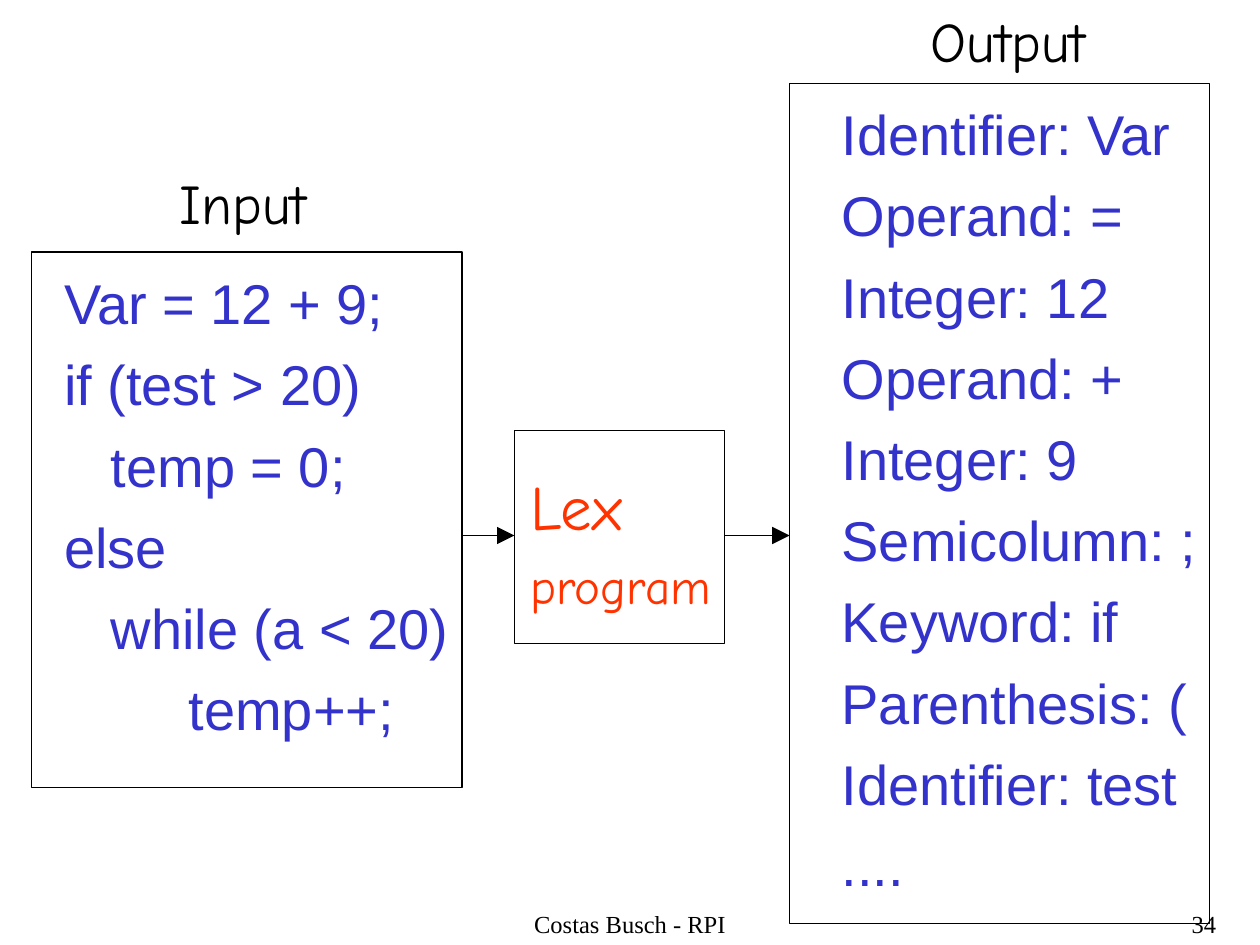
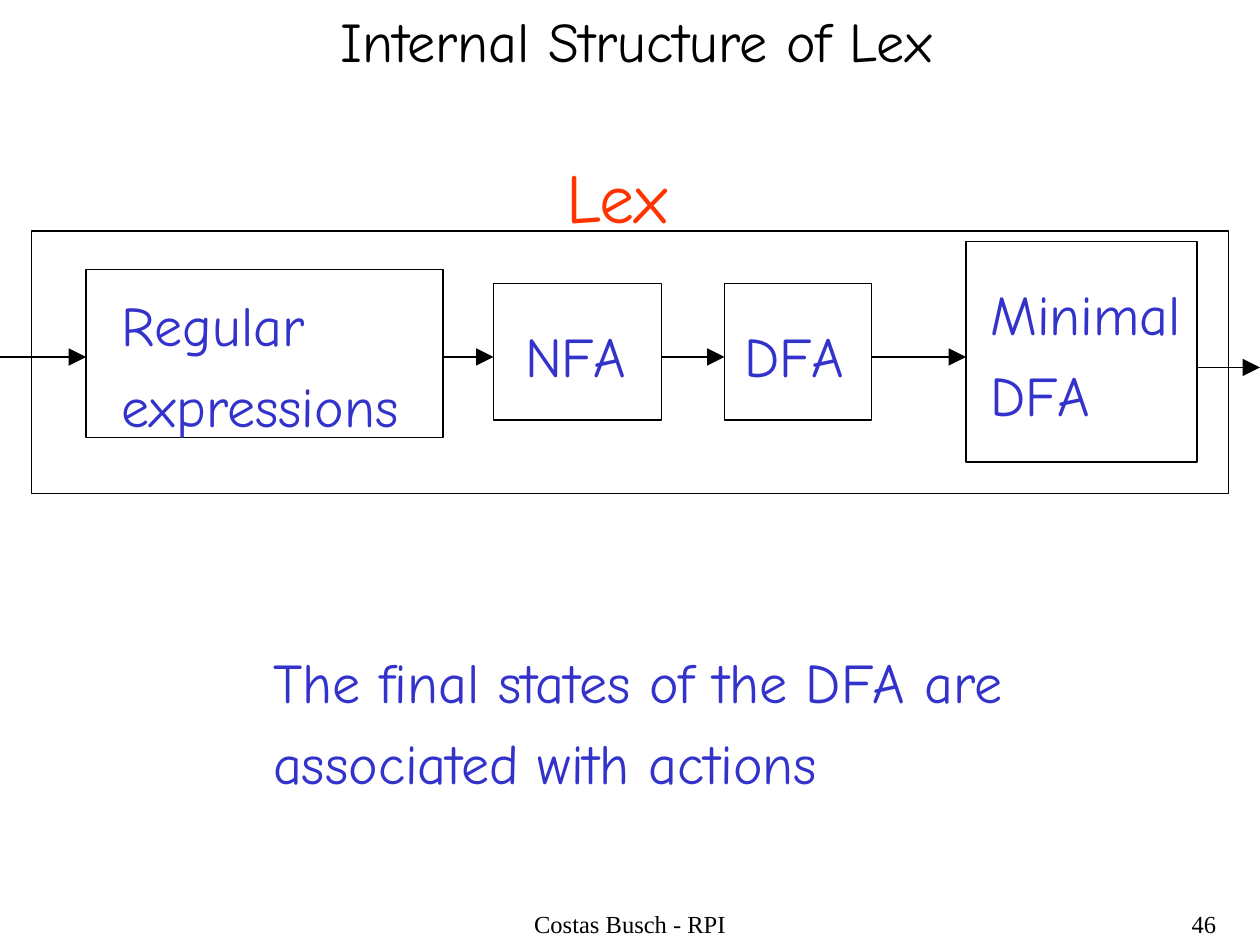
"""Two slides on Lex: its input and output, and its internal structure."""
from dataclasses import dataclass
from typing import NamedTuple

from lxml import etree
from pptx import Presentation
from pptx import util as u
from pptx.dml.color import RGBColor
from pptx.enum import shapes, text
from pptx.oxml.ns import qn


@dataclass(frozen=True)
class Theme:
    """Colours, fonts and sizes shared by the slides."""
    ink: RGBColor = RGBColor(0x00, 0x00, 0x00)
    blue: RGBColor = RGBColor(0x33, 0x33, 0xCC)
    red: RGBColor = RGBColor(0xFF, 0x33, 0x00)
    hand: str = "Comic Neue"
    code: str = "Arial"
    footer: str = "Times New Roman"
    footer_size: float = 14
    body_size: float = 32
    small_size: float = 28
    program_size: float = 36
    frame_size: float = 40
    line: float = 0.74
    space: float = 8.9  # width of a space in the code font
    slack: float = 6  # spare width that keeps a label on its lines


T = Theme()
ALIGN = text.PP_ALIGN


class Box(NamedTuple):
    """Left, top, width and height in points."""
    x: float
    y: float
    w: float
    h: float


class Line(NamedTuple):
    """One paragraph; indent counts characters of code."""
    words: str
    size: float = T.body_size
    indent: int = 0


class Label(NamedTuple):
    """A text box with lines in one colour and font."""
    box: Box
    lines: list[Line]
    color: RGBColor = T.ink
    font: str = T.hand


class Arrow(NamedTuple):
    """A horizontal arrow."""
    start: float
    end: float
    y: float


class Stage(NamedTuple):
    """A box of the pipeline and the caption inside it."""
    box: Box
    caption: Box
    words: list[str]


def plain(*words: str) -> list[Line]:
    """Turn strings into body-size lines."""
    return [Line(w) for w in words]


def add_frame(s, box: Box) -> None:
    """Draw an unfilled rectangle with a thin outline."""
    sp = s.shapes.add_shape(shapes.MSO_SHAPE.RECTANGLE, *map(u.Pt, box))
    sp.shadow.inherit = False
    sp.fill.background()
    sp.line.color.rgb = T.ink
    sp.line.width = u.Pt(T.line)


def add_label(s, label: Label) -> None:
    """Write lines from a fixed left edge, a quarter of their size apart."""
    box = label.box._replace(w=label.box.w + T.slack)
    tf = s.shapes.add_textbox(*map(u.Pt, box)).text_frame
    tf.word_wrap = True
    for i, line in enumerate(label.lines):
        p = tf.add_paragraph() if i else tf.paragraphs[0]
        p.text = line.words
        p.space_before = u.Pt(line.size / 4)
        p.font.name = label.font
        p.font.size = u.Pt(line.size)
        p.font.color.rgb = label.color
        if line.indent:
            p._p.get_or_add_pPr().set("marL", str(u.Pt(line.indent * T.space)))


def add_arrow(s, arrow: Arrow) -> None:
    """Draw a thin arrow with a large triangular head."""
    c = s.shapes.add_connector(
        shapes.MSO_CONNECTOR.STRAIGHT,
        *map(u.Pt, (arrow.start, arrow.y, arrow.end, arrow.y)))
    c.line.color.rgb = T.ink
    c.line.width = u.Pt(T.line)
    etree.SubElement(c.line._get_or_add_ln(), qn("a:tailEnd"),
                     type="triangle", w="lg", len="lg")
    etree.SubElement(c._element.spPr, qn("a:effectLst"))


def add_footer(s, box: Box, words: str, align: ALIGN) -> None:
    """Write one part of the footer."""
    tf = s.shapes.add_textbox(*map(u.Pt, box)).text_frame
    tf.word_wrap = True
    p = tf.paragraphs[0]
    p.text = words
    p.alignment = align
    p.font.name = T.footer
    p.font.size = u.Pt(T.footer_size)
    p.font.color.rgb = T.ink


def new_slide(prs, number: int):
    """Add a blank slide with author and slide number."""
    s = prs.slides.add_slide(prs.slide_layouts[6])
    add_footer(s, Box(246, 516, 228, 24), "Costas Busch - RPI", ALIGN.CENTER)
    add_footer(s, Box(552, 516, 150, 24), str(number), ALIGN.RIGHT)
    return s


def input_output_slide(prs) -> None:
    """Show how Lex turns source text into tokens."""
    s = new_slide(prs, 34)
    source = Box(18, 144, 246, 306)
    program = Box(294, 246, 120, 121.7)
    tokens = Box(451.2, 47.6, 240, 480)
    for box in (source, program, tokens):
        add_frame(s, box)
    code = [
        Line("Var = 12 + 9;"),
        Line("if (test > 20)"),
        Line("temp = 0;", indent=3),
        Line("else"),
        Line("while (a < 20)", indent=3),
        Line("temp++;", indent=8),
    ]
    found = plain("Identifier: Var", "Operand: =", "Integer: 12", "Operand: +",
                  "Integer: 9", "Semicolumn: ;", "Keyword: if",
                  "Parenthesis: (", "Identifier: test", "....")
    name = [Line("Lex", T.program_size), Line("program", T.small_size)]
    for label in (
        Label(Box(29.5, 150, 234, 278), code, T.blue, T.code),
        Label(Box(296, 263.5, 118, 91.5), name, T.red),
        Label(Box(473.8, 53.4, 217.4, 463.7), found, T.blue, T.code),
        Label(Box(95.4, 92.5, 87, 46), plain("Input")),
        Label(Box(524.7, 0, 103, 46), plain("Output")),
    ):
        add_label(s, label)
    for left, right in ((source, program), (program, tokens)):
        add_arrow(s, Arrow(left.x + left.w, right.x, 306))


def structure_slide(prs) -> None:
    """Show the stages inside Lex as a pipeline."""
    s = new_slide(prs, 46)
    add_label(s, Label(Box(187.4, 0, 355, 46), plain("Internal Structure of Lex")))
    add_frame(s, Box(18, 132, 684, 150))
    add_label(s, Label(Box(316.4, 84.2, 73.4, 55.4), [Line("Lex", T.frame_size)], T.red))
    stages = [
        Stage(Box(49.2, 154, 204, 96), Box(62.6, 162.2, 172.8, 92),
              ["Regular", "expressions"]),
        Stage(Box(282, 162, 96, 78), Box(293, 180, 72.7, 46), ["NFA"]),
        Stage(Box(414, 162, 84, 78), Box(418.3, 180, 71.3, 46), ["DFA"]),
        Stage(Box(552, 138, 132, 126), Box(558.7, 156.2, 123, 92),
              ["Minimal", "DFA"]),
    ]
    flow = 204
    start = 0
    for stage in stages:
        add_frame(s, stage.box)
        add_label(s, Label(stage.caption, plain(*stage.words), T.blue))
        add_arrow(s, Arrow(start, stage.box.x, flow))
        start = stage.box.x + stage.box.w
    add_arrow(s, Arrow(start, 720, flow + 6))
    note = plain("The final states of the DFA are", "associated with actions")
    add_label(s, Label(Box(149, 366.2, 434, 92), note, T.blue))


def main() -> None:
    """Build and save the presentation."""
    prs = Presentation()
    prs.slide_width, prs.slide_height = u.Pt(720), u.Pt(540)
    input_output_slide(prs)
    structure_slide(prs)
    prs.save("out.pptx")


main()
